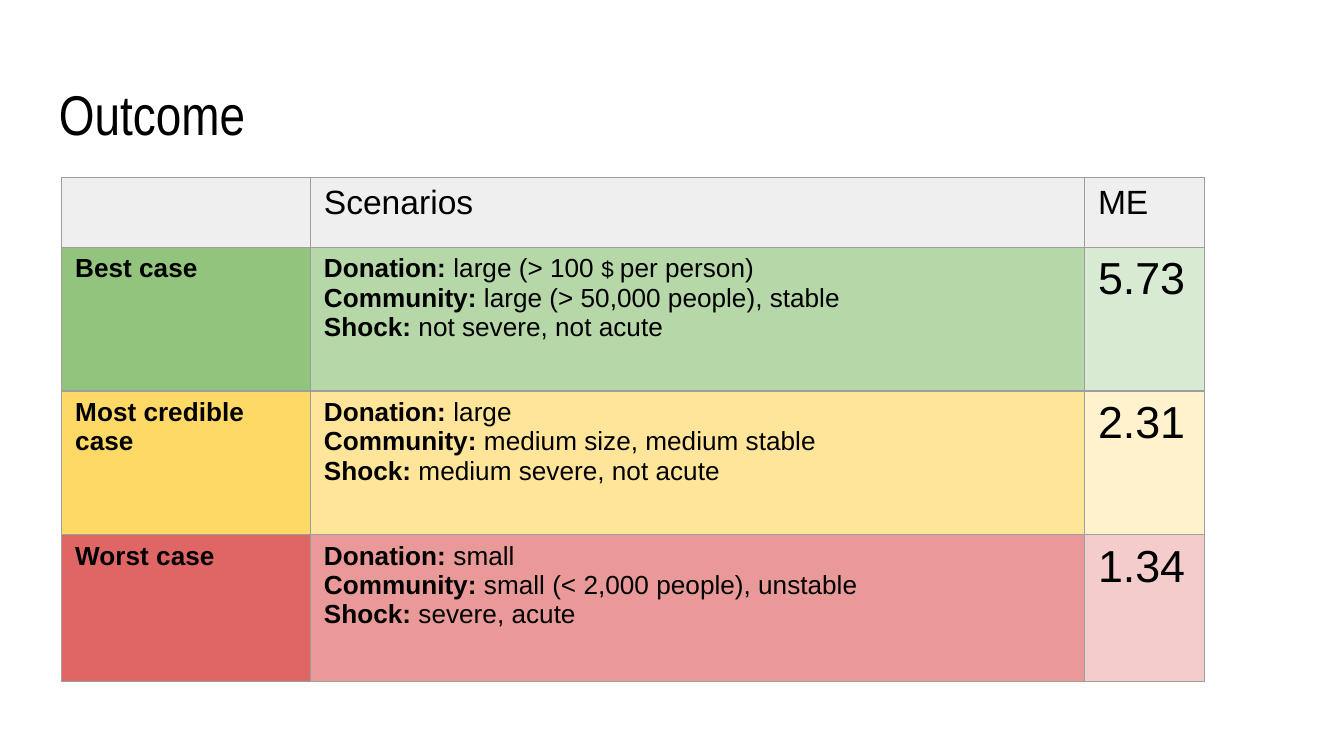
from lxml import etree
from pptx import Presentation
from pptx.dml.color import RGBColor
from pptx.enum.text import MSO_ANCHOR
from pptx.oxml.ns import qn
from pptx.util import Inches, Pt

TOP = MSO_ANCHOR.TOP
COLORS = {
    "text": "000000", "border": "9E9E9E", "header": "EFEFEF",
    "best": ("93C47D", "B6D7A8", "D9EAD3"),
    "credible": ("FFD966", "FFE599", "FFF2CC"),
    "worst": ("E06666", "EA9999", "F4CCCC"),
}


def add_span(para, text, size, bold=False, name="Arial"):
    span = para.add_run()
    span.text = text
    for key, value in {"size": Pt(size), "bold": bold, "name": name}.items():
        setattr(span.font, key, value)
    span.font.color.rgb = RGBColor.from_string(COLORS["text"])


def style_cell(cell, fill):
    margins = {"margin_left": 0.1, "margin_right": 0.1,
               "margin_top": 0.05, "margin_bottom": 0.05}
    for key, value in margins.items():
        setattr(cell, key, Inches(value))
    cell.vertical_anchor = TOP
    # Borders come before the fill in the cell properties
    properties = cell._tc.get_or_add_tcPr()
    for side in ("a:lnL", "a:lnR", "a:lnT", "a:lnB"):
        line = etree.SubElement(properties, qn(side), w=str(Pt(0.75)))
        solid = etree.SubElement(line, qn("a:solidFill"))
        etree.SubElement(solid, qn("a:srgbClr"), val=COLORS["border"])
    cell.fill.solid()
    cell.fill.fore_color.rgb = RGBColor.from_string(fill)


# Widescreen page, 16 to 9
deck = Presentation()
deck.slide_width, deck.slide_height = Inches(10), Inches(10 * 9 / 16)
page = deck.slides.add_slide(deck.slide_layouts[6])

# Title
box = page.shapes.add_textbox(Inches(0.34), Inches(0.49), Inches(9.32), Inches(0.63))
frame = box.text_frame
frame_format = {"word_wrap": True, "vertical_anchor": TOP}
for side in ("left", "right", "top", "bottom"):
    frame_format[f"margin_{side}"] = Inches(0.1)
for key, value in frame_format.items():
    setattr(frame, key, value)
add_span(frame.paragraphs[0], "Outcome", 30, name="Arial Narrow")

# Table grid
widths = (1.85, 5.76, 0.89)
heights = (0.52, 1.07, 1.07, 1.09)
table = page.shapes.add_table(
    len(heights), len(widths), Inches(0.46), Inches(1.32),
    Inches(sum(widths)), Inches(sum(heights))).table
table.horz_banding = False
table.first_row = False
for column, width in zip(table.columns, widths):
    column.width = Inches(width)
for row, height in zip(table.rows, heights):
    row.height = Inches(height)

# Header row
for cell, heading in zip(table.rows[0].cells, ("", "Scenarios", "ME")):
    style_cell(cell, COLORS["header"])
    if heading:
        add_span(cell.text_frame.paragraphs[0], heading, 18)

# Outcome rows: colours, case, scenario, value
labels = ("Donation:", "Community:", "Shock:")
outcomes = [
    ("best", "Best case",
     ("large (> 100 $ per person)", "large (> 50,000 people), stable",
      "not severe, not acute"), "5.73"),
    ("credible", "Most credible case",
     ("large", "medium size, medium stable", "medium severe, not acute"), "2.31"),
    ("worst", "Worst case",
     ("small", "small (< 2,000 people), unstable", "severe, acute"), "1.34"),
]
for row_index, (tone, case, details, value) in enumerate(outcomes, start=1):
    cells = list(table.rows[row_index].cells)
    for cell, fill in zip(cells, COLORS[tone]):
        style_cell(cell, fill)
    case_cell, scenario_cell, value_cell = cells
    add_span(case_cell.text_frame.paragraphs[0], case, 14, bold=True)
    add_span(value_cell.text_frame.paragraphs[0], value, 24)

    scenario = scenario_cell.text_frame
    for index, (label, detail) in enumerate(zip(labels, details)):
        para = scenario.add_paragraph() if index else scenario.paragraphs[0]
        add_span(para, label, 14, bold=True)
        # The dollar sign is set smaller than the text around it
        before, dollar, after = f" {detail}".partition("$ ")
        for text, size in ((before, 14), (dollar, 12), (after, 14)):
            if text:
                add_span(para, text, size)

deck.save("out.pptx")
